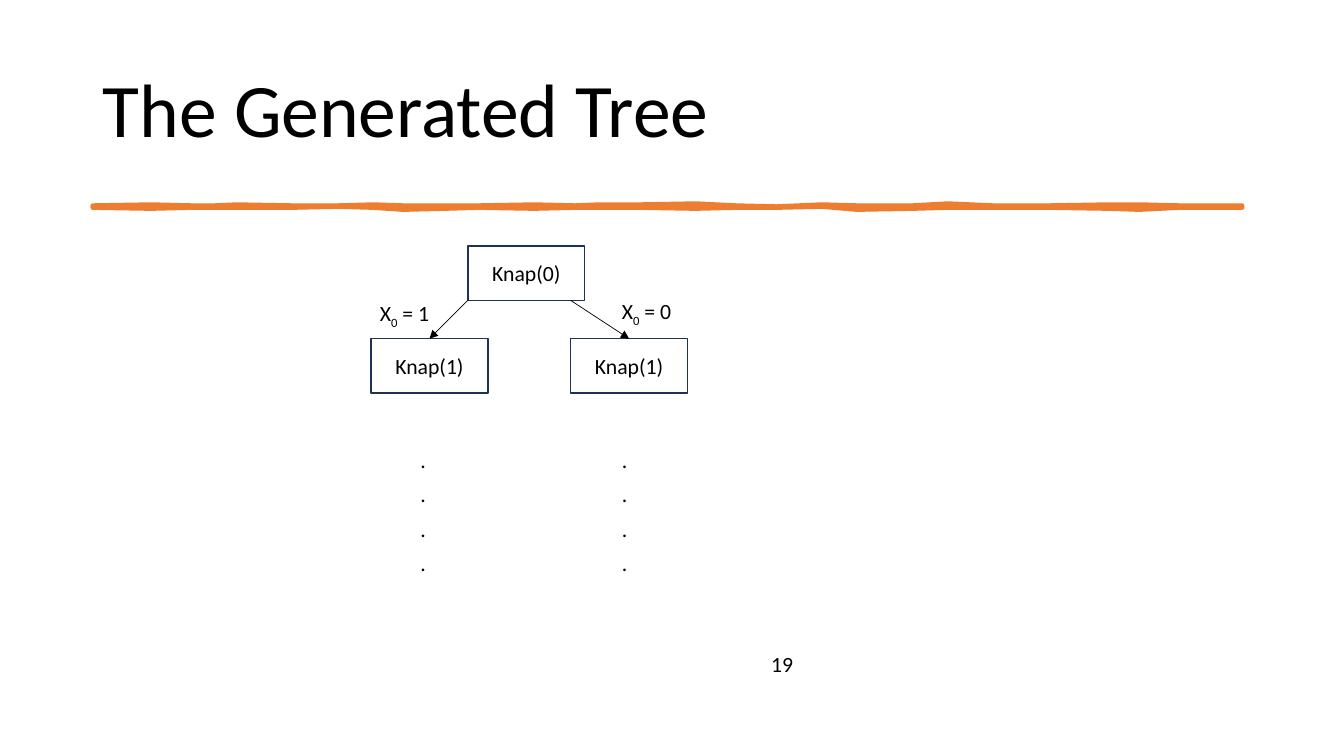
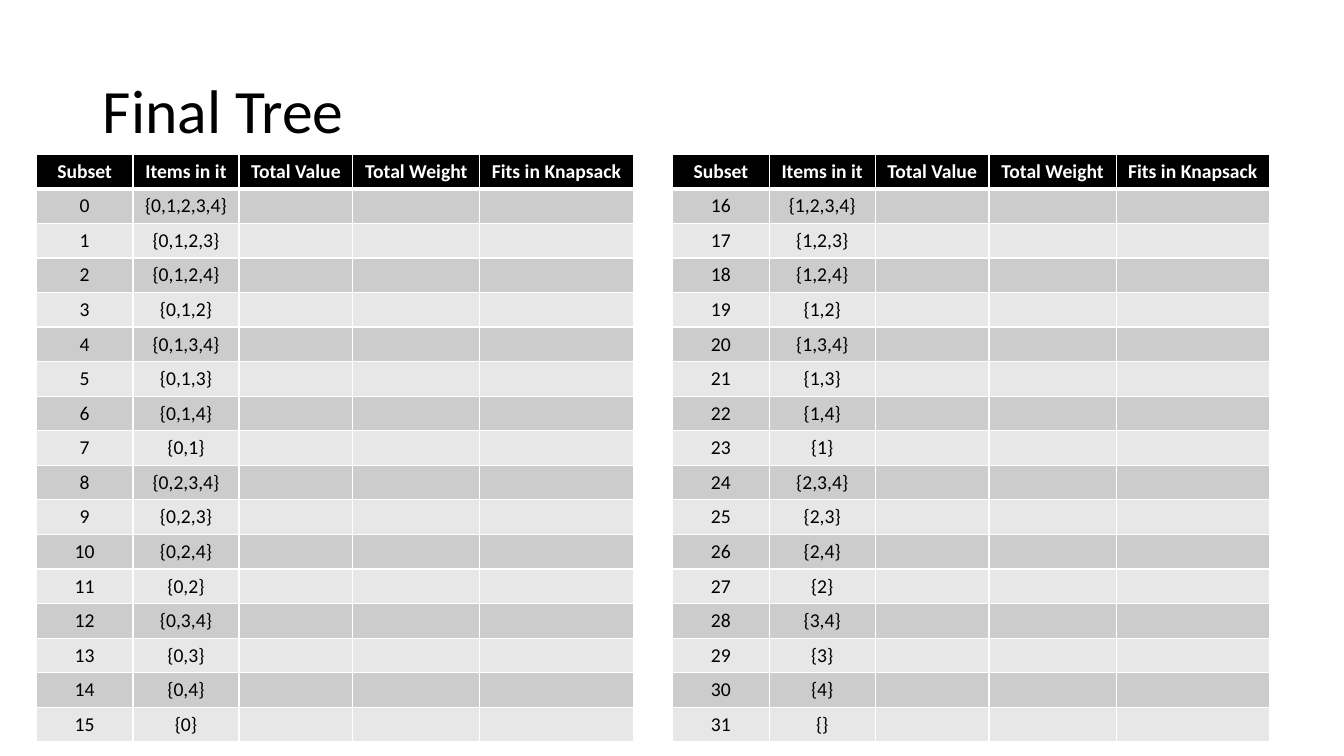
from itertools import product

from lxml.etree import SubElement
from pptx import Presentation
from pptx.dml.color import RGBColor
from pptx.enum.shapes import MSO_CONNECTOR, MSO_SHAPE
from pptx.enum.text import MSO_ANCHOR, MSO_AUTO_SIZE, PP_ALIGN
from pptx.oxml.ns import qn
from pptx.util import Inches, Pt

FONT = "Calibri"
BODY_SIZE = 15.5
TABLE_SIZE = 14
COLORS = {
    "text": "000000",
    "white": "FFFFFF",
    "accent": "ED7D31",
    "node_line": "1E3256",
    "header": "000000",
    "band_dark": "CCCCCC",
    "band_light": "E7E7E7",
}
TITLE_BOX = (0.92, 0.4, 11.5, 1.45)
# Hand-drawn rule: x, upper edge and lower edge at each knot
RULE_KNOTS = [
    (0.92, 2.04, 2.06), (1.5, 2.03, 2.07), (1.9, 2.04, 2.06),
    (2.13, 2.04, 2.06), (2.35, 2.03, 2.06), (2.9, 2.04, 2.06),
    (3.35, 2.04, 2.05), (3.7, 2.03, 2.06), (4.0, 2.04, 2.08),
    (4.41, 2.04, 2.07), (4.75, 2.04, 2.06), (5.3, 2.03, 2.07),
    (5.7, 2.04, 2.06), (5.95, 2.03, 2.06), (6.35, 2.03, 2.06),
    (6.9, 2.02, 2.07), (7.3, 2.04, 2.06), (7.7, 2.05, 2.06),
    (8.15, 2.03, 2.05), (8.5, 2.04, 2.08), (9.05, 2.04, 2.07),
    (9.4, 2.02, 2.06), (9.85, 2.04, 2.06), (10.4, 2.04, 2.06),
    (11.0, 2.03, 2.07), (11.3, 2.03, 2.08), (11.7, 2.04, 2.06),
    (12.32, 2.04, 2.06),
]
TABLE_HEADINGS = ["Subset", "Items in it", "Total Value", "Total Weight", "Fits in Knapsack"]
COLUMN_WIDTHS = [0.96, 1.05, 1.13, 1.26, 1.52]
TABLE_HEIGHT = 5.83
ITEM_COUNT = 5


def color(name):
    return RGBColor.from_string(COLORS[name])


def add_run(paragraph, text, size=BODY_SIZE, color_name="text", bold=False, subscript=False):
    run = paragraph.add_run()
    run.text = text
    run.font.name = FONT
    run.font.size = Pt(size)
    run.font.bold = bold
    run.font.color.rgb = color(color_name)
    if subscript:
        run._r.get_or_add_rPr().set("baseline", "-25000")


def add_titled_slide(presentation, title, size):
    slide = presentation.slides.add_slide(presentation.slide_layouts[5])
    shape = slide.shapes.title
    shape.left, shape.top, shape.width, shape.height = map(Inches, TITLE_BOX)
    frame = shape.text_frame
    frame.word_wrap = True
    frame.auto_size = MSO_AUTO_SIZE.NONE
    frame.vertical_anchor = MSO_ANCHOR.MIDDLE
    paragraph = frame.paragraphs[0]
    paragraph.alignment = PP_ALIGN.LEFT
    paragraph.line_spacing = 0.9
    add_run(paragraph, title, size)
    return slide


def add_text(slide, box, lines):
    """Add a text box; each line is a list of (text, subscript) runs."""
    frame = slide.shapes.add_textbox(*map(Inches, box)).text_frame
    frame.word_wrap = True
    for index, runs in enumerate(lines):
        paragraph = frame.add_paragraph() if index else frame.paragraphs[0]
        paragraph.space_after = Pt(6)
        for text, subscript in runs:
            add_run(paragraph, text, subscript=subscript)


def add_hand_drawn_rule(slide):
    upper = [(Inches(x), Inches(top)) for x, top, _ in RULE_KNOTS]
    lower = [(Inches(x), Inches(bottom)) for x, _, bottom in reversed(RULE_KNOTS)]
    builder = slide.shapes.build_freeform(*upper[0], scale=1.0)
    builder.add_line_segments(upper[1:] + lower, close=True)
    rule = builder.convert_to_shape()
    rule.shadow.inherit = False
    rule.fill.solid()
    rule.fill.fore_color.rgb = color("accent")
    rule.line.color.rgb = color("accent")
    rule.line.width = Pt(3.25)
    SubElement(rule.line._get_or_add_ln(), qn("a:round"))


def add_node(slide, left, top, text):
    node = slide.shapes.add_shape(
        MSO_SHAPE.RECTANGLE, *map(Inches, (left, top, 1.16, 0.54)))
    node.shadow.inherit = False
    node.fill.background()
    node.line.color.rgb = color("node_line")
    node.line.width = Pt(1)
    frame = node.text_frame
    frame.word_wrap = True
    frame.vertical_anchor = MSO_ANCHOR.MIDDLE
    frame.paragraphs[0].alignment = PP_ALIGN.CENTER
    add_run(frame.paragraphs[0], text)
    return node


def add_arrow(slide, start_x, start_y, node):
    """Draw an arrow from a point to the middle of the node's top edge."""
    arrow = slide.shapes.add_connector(
        MSO_CONNECTOR.STRAIGHT, start_x, start_y, node.left + node.width // 2, node.top)
    arrow.end_connect(node, 0)
    arrow.line.color.rgb = color("text")
    arrow.line.width = Pt(0.5)
    SubElement(arrow.line._get_or_add_ln(), qn("a:tailEnd"), type="triangle")
    SubElement(arrow._element.spPr, qn("a:effectLst"))


def add_tree(slide, left, top):
    """Draw the root, its two branches and the dots below them."""
    root = add_node(slide, left + 0.96, top, "Knap(0)")
    # Offsets: child, arrow start, label left, label top, dots; then the choice
    branches = [
        (0, 0.96, -0.01, 0.49, 0.39, "1"),
        (1.98, 1.98, 2.39, 0.47, 2.39, "0"),
    ]
    for child_x, start_x, label_x, label_y, dots_x, choice in branches:
        child = add_node(slide, left + child_x, top + 0.92, "Knap(1)")
        add_arrow(slide, Inches(left + start_x), root.top + root.height, child)
        add_text(slide, (left + label_x, top + label_y, 0.88, 0.36),
                 [[("X", False), ("0", True), (f" = {choice}", False)]])
        add_text(slide, (left + dots_x, top + 1.94, 1.66, 1.4), [[(".", False)]] * 4)


def set_borders(cell, top, bottom):
    properties = cell._tc.get_or_add_tcPr()
    for side, width in (("L", 1), ("R", 1), ("T", top), ("B", bottom)):
        line = SubElement(properties, qn(f"a:ln{side}"), w=str(Pt(width)))
        fill = SubElement(line, qn("a:solidFill"))
        SubElement(fill, qn("a:srgbClr"), val=COLORS["white"])


def format_cell(cell, text, row):
    header = row == 0
    set_borders(cell, top=3 if row == 1 else 1, bottom=3 if header else 1)
    cell.fill.solid()
    band = "band_dark" if row % 2 else "band_light"
    cell.fill.fore_color.rgb = color("header" if header else band)
    cell.vertical_anchor = MSO_ANCHOR.MIDDLE
    cell.margin_left = cell.margin_right = Inches(0.05)
    paragraph = cell.text_frame.paragraphs[0]
    paragraph.alignment = PP_ALIGN.CENTER
    if text:
        add_run(paragraph, text, TABLE_SIZE, "white" if header else "text", bold=header)
    else:
        SubElement(paragraph._p, qn("a:endParaRPr"), sz=str(TABLE_SIZE * 100))


def add_subset_table(slide, left, top, subsets):
    rows = [TABLE_HEADINGS] + [[str(number), items, "", "", ""] for number, items in subsets]
    table = slide.shapes.add_table(
        len(rows), len(COLUMN_WIDTHS), Inches(left), Inches(top),
        Inches(sum(COLUMN_WIDTHS)), Inches(TABLE_HEIGHT)).table
    for column, width in zip(table.columns, COLUMN_WIDTHS):
        column.width = Inches(width)
    for row_index, texts in enumerate(rows):
        table.rows[row_index].height = Inches(TABLE_HEIGHT / len(rows))
        for column_index, text in enumerate(texts):
            format_cell(table.cell(row_index, column_index), text, row_index)


def list_subsets():
    """Number every subset in the order in which the tree reaches its leaves."""
    choices = product((True, False), repeat=ITEM_COUNT)
    return [
        (number, "{" + ",".join(str(item) for item, taken in enumerate(choice) if taken) + "}")
        for number, choice in enumerate(choices)
    ]


def build_generated_tree(presentation):
    slide = add_titled_slide(presentation, "The Generated Tree", 54)
    add_hand_drawn_rule(slide)
    add_text(slide, (7.55, 6.41, 2.6, 0.35), [[("19", False)]])
    add_tree(slide, 3.68, 2.44)


def build_final_tree(presentation):
    slide = add_titled_slide(presentation, "Final Tree", 44)
    subsets = list_subsets()
    half = len(subsets) // 2
    add_subset_table(slide, 0.36, 1.53, subsets[:half])
    add_subset_table(slide, 6.67, 1.53, subsets[half:])


def main():
    presentation = Presentation()
    presentation.slide_width = Inches(13.33)
    presentation.slide_height = Inches(7.5)
    build_generated_tree(presentation)
    build_final_tree(presentation)
    presentation.save("out.pptx")


if __name__ == "__main__":
    main()
